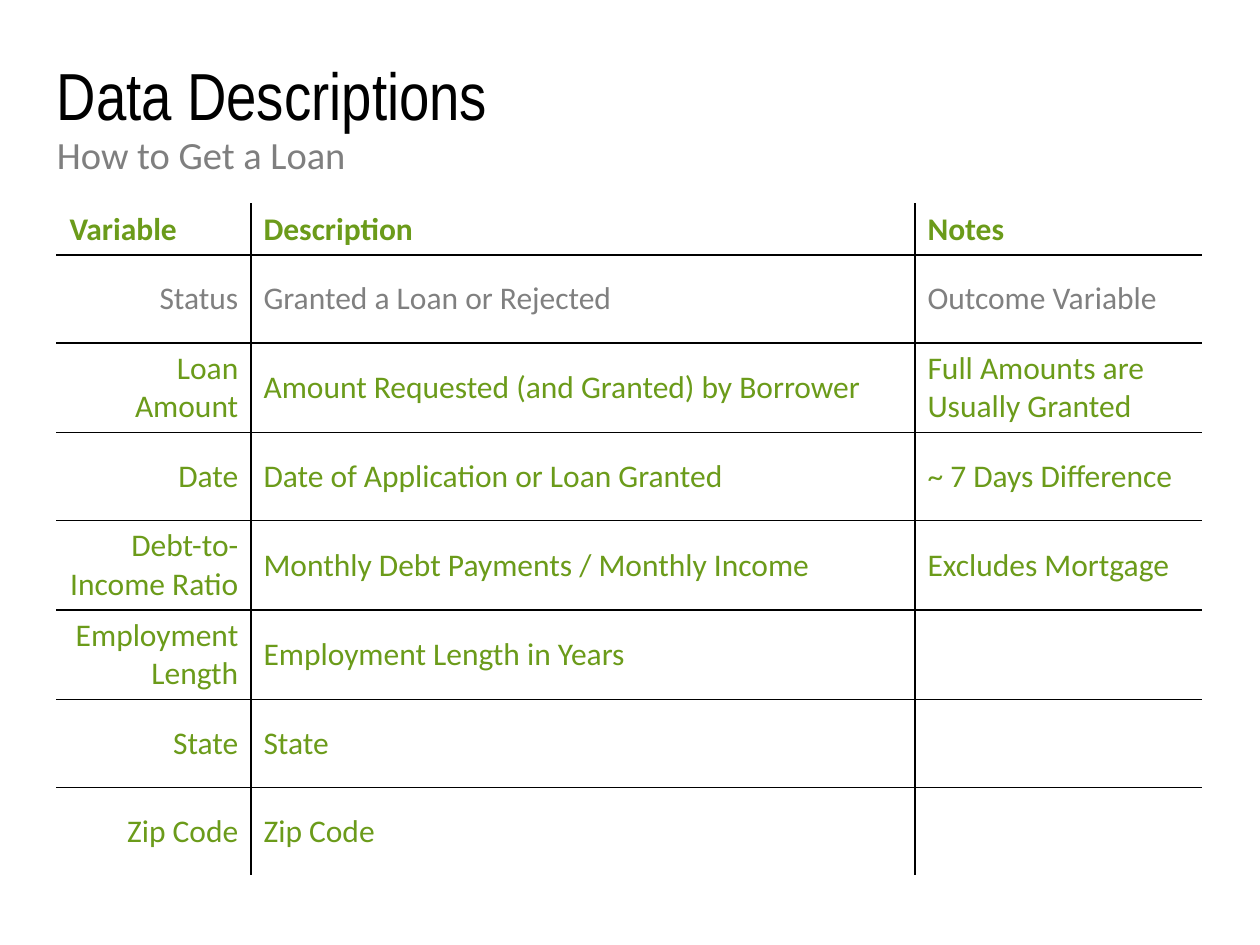
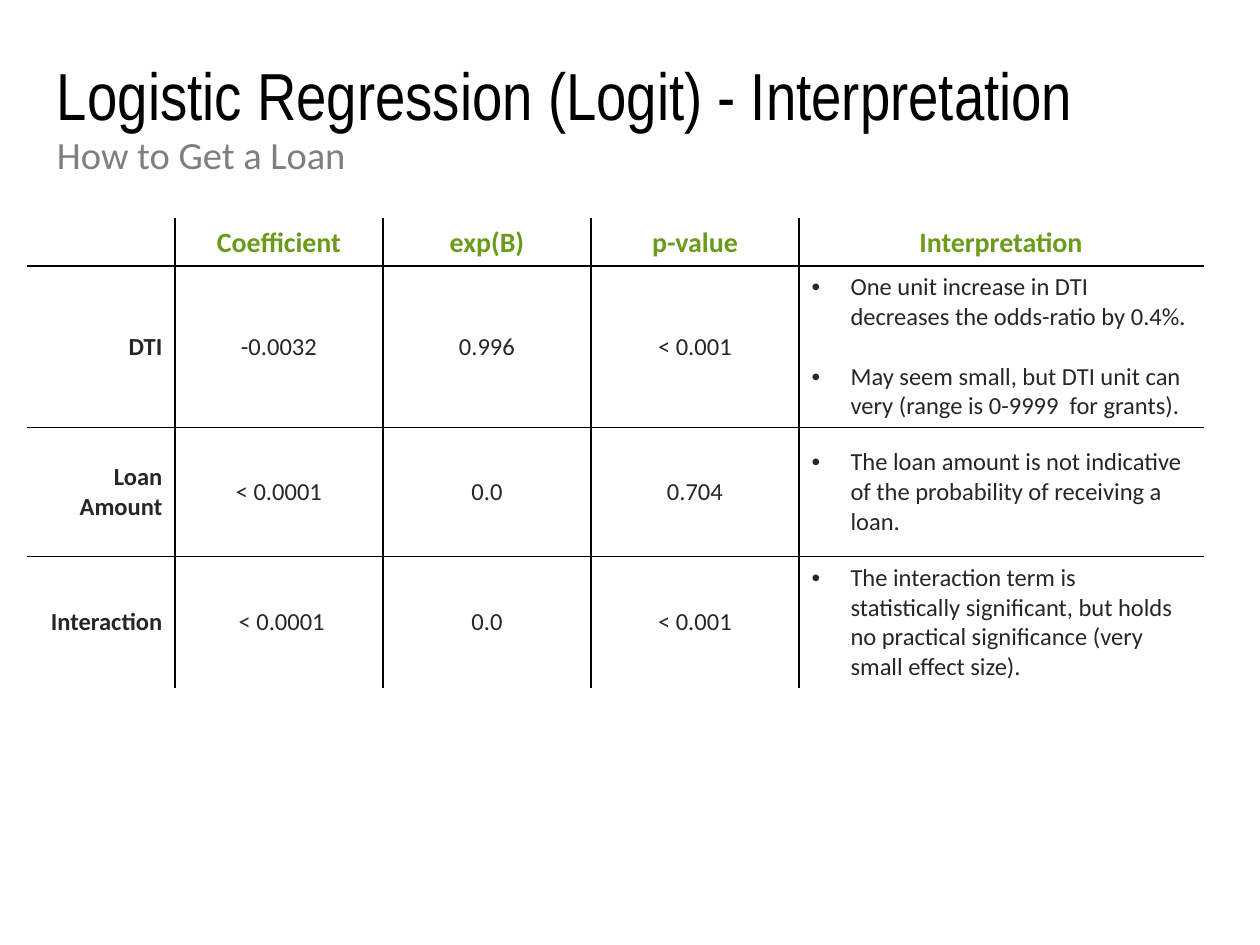
from dataclasses import dataclass

from lxml.etree import SubElement
from pptx import Presentation
from pptx.dml.color import RGBColor
from pptx.enum.text import MSO_ANCHOR, MSO_AUTO_SIZE, PP_ALIGN
from pptx.oxml.ns import qn
from pptx.util import Emu, Pt

PX = 914400 / 126  # EMU in one px


@dataclass(frozen=True)
class Theme:
    black: str = "000000"
    white: str = "FFFFFF"
    green: str = "6B9B1A"
    subtitle_gray: str = "7F7F7F"
    outcome_gray: str = "808080"
    dark: str = "262626"
    title_font: str = "Arial Narrow"
    text_font: str = "Calibri"
    title_size: int = 38
    subtitle_size: int = 22
    variables_size: int = 18
    header_size: int = 16
    results_size: int = 14
    border_pt: int = 1


THEME = Theme()
LEFT, CENTER, RIGHT = PP_ALIGN.LEFT, PP_ALIGN.CENTER, PP_ALIGN.RIGHT
BULLET_INDENT = 39

# Content: a tuple in a cell holds bulleted paragraphs
descriptions = [
    ("Variable", "Description", "Notes"),
    ("Status", "Granted a Loan or Rejected", "Outcome Variable"),
    ("Loan Amount", "Amount Requested (and Granted) by Borrower",
     "Full Amounts are Usually Granted"),
    ("Date", "Date of Application or Loan Granted", "~ 7 Days Difference"),
    ("Debt-to-Income Ratio", "Monthly Debt Payments / Monthly Income",
     "Excludes Mortgage"),
    ("Employment Length", "Employment Length in Years", ""),
    ("State", "State", ""),
    ("Zip Code", "Zip Code", ""),
]
results = [
    ("", "Coefficient", "exp(B)", "p-value", "Interpretation"),
    ("DTI", "-0.0032", "0.996", "< 0.001",
     ("One unit increase in DTI decreases the odds-ratio by 0.4%.",
      "May seem small, but DTI unit can very (range is 0-9999  for grants).")),
    ("Loan Amount", "< 0.0001", "0.0", "0.704",
     ("The loan amount is not indicative of the probability of receiving a loan.",)),
    ("Interaction", " < 0.0001", "0.0", "< 0.001",
     ("The interaction term is statistically significant, but holds no "
      "practical significance (very small effect size).",)),
]
pages = [
    dict(title="Data Descriptions", rows=descriptions, corner=(57, 204),
         widths=[194, 664, 286], heights=[51] + [88] * 7,
         header_align=LEFT, aligns=[RIGHT, LEFT, LEFT],
         header_size=THEME.variables_size, size=THEME.variables_size,
         color=THEME.green, row_colors={1: THEME.outcome_gray}, bold_labels=False),
    dict(title="Logistic Regression (Logit) - Interpretation", rows=results,
         corner=(28, 219), widths=[147, 208, 208, 208, 404],
         heights=[47, 129, 129, 129],
         header_align=CENTER, aligns=[RIGHT, CENTER, CENTER, CENTER, LEFT],
         header_size=THEME.header_size, size=THEME.results_size,
         color=THEME.dark, row_colors={}, bold_labels=True),
]


def write(paragraph, text, align, color, **font_format):
    """Fill a paragraph with one formatted run."""
    paragraph.alignment = align
    if not text:
        end = SubElement(paragraph._p, qn("a:endParaRPr"))
        end.set("sz", str(font_format["size"].centipoints))
        return
    run = paragraph.add_run()
    run.text = text
    run.font.color.rgb = RGBColor.from_string(color)
    for attribute, value in font_format.items():
        setattr(run.font, attribute, value)


def set_bullet(paragraph, indent, character=None):
    """Set a hanging indent with a bullet, or no bullet at all."""
    properties = paragraph._p.get_or_add_pPr()
    properties.set("marL", str(int(indent * PX)))
    properties.set("indent", str(-int(indent * PX)))
    if character:
        SubElement(properties, qn("a:buFont")).set("typeface", "Arial")
        SubElement(properties, qn("a:buChar")).set("char", character)
    else:
        SubElement(properties, qn("a:buNone"))


deck = Presentation()
deck.slide_width, deck.slide_height = Emu(int(1260 * PX)), Emu(int(945 * PX))

for page in pages:
    slide = deck.slides.add_slide(deck.slide_layouts[1])
    slide.background.fill.solid()
    slide.background.fill.fore_color.rgb = RGBColor.from_string(THEME.white)

    # Title and subtitle
    title, subtitle = slide.shapes.title, slide.placeholders[1]
    for heading, text, top, height, font, size, color in (
        (title, page["title"], 57, 147, THEME.title_font, THEME.title_size, THEME.black),
        (subtitle, "How to Get a Loan", 130, 74, THEME.text_font,
         THEME.subtitle_size, THEME.subtitle_gray),
    ):
        box = dict(left=57, top=top, width=1146, height=height)
        for attribute, value in box.items():
            setattr(heading, attribute, Emu(int(value * PX)))
        frame_format = dict(margin_left=0, auto_size=MSO_AUTO_SIZE.NONE,
                            vertical_anchor=MSO_ANCHOR.TOP, word_wrap=True)
        for attribute, value in frame_format.items():
            setattr(heading.text_frame, attribute, value)
        line = heading.text_frame.paragraphs[0]
        line.line_spacing, line.space_before = 0.9, Pt(0)
        write(line, text, LEFT, color, name=font, size=Pt(size), bold=False)
    set_bullet(subtitle.text_frame.paragraphs[0], 0)

    # Table grid
    rows, widths, heights = page["rows"], page["widths"], page["heights"]
    bounds = (*page["corner"], sum(widths), sum(heights))
    grid = slide.shapes.add_table(
        len(rows), len(widths), *(Emu(int(length * PX)) for length in bounds)).table
    grid.first_row = grid.horz_banding = False
    for column, width in zip(grid.columns, widths):
        column.width = Emu(int(width * PX))
    for row, height in zip(grid.rows, heights):
        row.height = Emu(int(height * PX))

    # Cells: black rules inside, white ones around the outside
    for r, values in enumerate(rows):
        for c, value in enumerate(values):
            cell = grid.cell(r, c)
            outside = {"L": c == 0, "R": c == len(widths) - 1,
                       "T": r == 0, "B": r == len(rows) - 1}
            for side, is_outer in outside.items():
                border = SubElement(cell._tc.get_or_add_tcPr(), qn(f"a:ln{side}"))
                border.set("w", str(Pt(THEME.border_pt)))
                fill = SubElement(border, qn("a:solidFill"))
                SubElement(fill, qn("a:srgbClr")).set(
                    "val", THEME.white if is_outer else THEME.black)
            cell.fill.background()

            is_header = r == 0
            cell.vertical_anchor = MSO_ANCHOR.BOTTOM if is_header else MSO_ANCHOR.MIDDLE
            align = page["header_align"] if is_header else page["aligns"][c]
            color = THEME.green if is_header else page["row_colors"].get(r, page["color"])
            size = page["header_size"] if is_header else page["size"]
            bold = is_header or (page["bold_labels"] and c == 0)
            bulleted = isinstance(value, tuple)
            for i, text in enumerate(value if bulleted else (value,)):
                frame = cell.text_frame
                paragraph = frame.add_paragraph() if i else frame.paragraphs[0]
                if i:
                    paragraph.space_before = Pt(17)
                if bulleted:
                    set_bullet(paragraph, BULLET_INDENT, "•")
                write(paragraph, text, align, color,
                      name=THEME.text_font, size=Pt(size), bold=bold)

deck.save("out.pptx")
